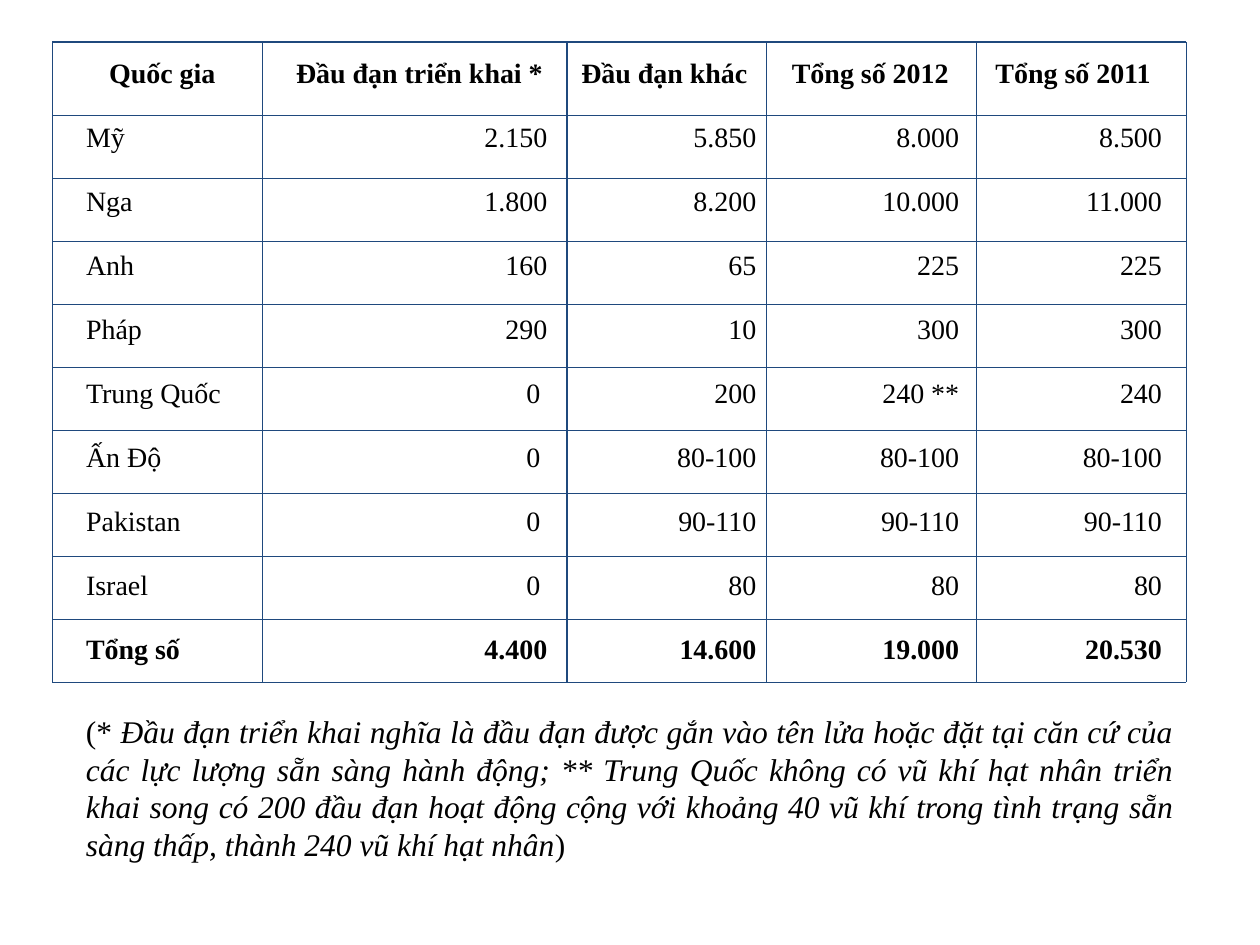
"""Build a slide with a table of nuclear warheads by country and a footnote."""
from dataclasses import dataclass

from lxml.etree import SubElement
from pptx import Presentation
from pptx.dml.color import RGBColor
from pptx.enum.shapes import MSO_CONNECTOR as Connector
from pptx.enum.text import MSO_ANCHOR as Anchor, PP_ALIGN as Align
from pptx.oxml.ns import qn
from pptx.util import Pt

BLACK = RGBColor(0x00, 0x00, 0x00)
NAVY = RGBColor(0x1F, 0x49, 0x7D)
FONT = "Times New Roman"

COLUMN_WIDTHS = (101.5, 176.4, 119.5, 115.9, 115.9)
ROW_HEIGHT = 36.6
TABLE_LEFT, TABLE_TOP = 42, 24
HEADER_INDENT = 23.2

GRID_XS = (30, 150, 324, 438, 558, 678)
GRID_YS = (24, *range(66, 391, 36))

ROWS = (
    ("Quốc gia", "Đầu đạn triển khai *", "Đầu đạn khác", "Tổng số 2012", "Tổng số 2011"),
    ("Mỹ", "2.150", "5.850", "8.000", "8.500"),
    ("Nga", "1.800", "8.200", "10.000", "11.000"),
    ("Anh", "160", "65", "225", "225"),
    ("Pháp", "290", "10", "300", "300"),
    ("Trung Quốc", "0 ", "200", "240 **", "240"),
    ("Ấn Độ", "0 ", "80-100", "80-100", "80-100"),
    ("Pakistan", "0 ", "90-110", "90-110", "90-110"),
    ("Israel", "0 ", "80", "80", "80"),
    ("Tổng số", "4.400", "14.600", "19.000", "20.530"),
)


@dataclass(frozen=True)
class Run:
    text: str
    size: float
    bold: bool = False
    italic: bool = False


@dataclass(frozen=True)
class Line:
    x1: float
    y1: float
    x2: float
    y2: float


FOOTNOTE = (
    Run("(* ", 18),
    Run(
        "Đầu đạn triển khai nghĩa là đầu đạn được gắn vào tên lửa hoặc đặt tại "
        "căn cứ của các lực lượng sẵn sàng hành động; ** Trung Quốc không có "
        "vũ khí hạt nhân triển khai song có 200 đầu đạn hoạt động cộng "
        "với khoảng 40 vũ khí trong tình trạng sẵn sàng thấp, thành 240 vũ khí "
        "hạt nhân",
        18,
        italic=True,
    ),
    Run(")", 18),
)


def write_runs(p, runs: tuple[Run, ...], align: Align) -> None:
    p.alignment = align
    for run in runs:
        r = p.add_run()
        r.text = run.text
        formats = {"name": FONT, "size": Pt(run.size), "bold": run.bold, "italic": run.italic}
        for name, value in formats.items():
            setattr(r.font, name, value)
        r.font.color.rgb = BLACK


def cell_align(row: int, col: int) -> Align:
    if row == 0:
        return Align.CENTER
    return Align.LEFT if col == 0 else Align.RIGHT


def draw_table(s) -> None:
    frame = s.shapes.add_table(
        len(ROWS), len(COLUMN_WIDTHS), Pt(TABLE_LEFT), Pt(TABLE_TOP),
        Pt(sum(COLUMN_WIDTHS)), Pt(ROW_HEIGHT * len(ROWS)),
    )
    table = frame.table
    table.first_row = table.horz_banding = False
    for column, width in zip(table.columns, COLUMN_WIDTHS):
        column.width = Pt(width)
    for i, texts in enumerate(ROWS):
        table.rows[i].height = Pt(ROW_HEIGHT)
        bold = i in (0, len(ROWS) - 1)
        for j, text in enumerate(texts):
            cell = table.cell(i, j)
            cell.fill.background()
            cell.vertical_anchor = Anchor.MIDDLE
            write_runs(cell.text_frame.paragraphs[0], (Run(text, 16, bold),), cell_align(i, j))
    table.cell(0, 1).margin_left = Pt(HEADER_INDENT)


def draw_footnote(s) -> None:
    tf = s.shapes.add_textbox(Pt(42), Pt(403), Pt(636), Pt(94)).text_frame
    tf.word_wrap = True
    tf.vertical_anchor = Anchor.MIDDLE
    write_runs(tf.paragraphs[0], FOOTNOTE, Align.JUSTIFY)


def draw_line(group, line: Line) -> None:
    ends = (Pt(v) for v in (line.x1, line.y1, line.x2, line.y2))
    sp = group.shapes.add_connector(Connector.STRAIGHT, *ends)
    sp.line.color.rgb = NAVY
    sp.line.width = Pt(0.75)
    SubElement(sp.element.find(qn("p:spPr")), qn("a:effectLst"))


def draw_grid(s) -> None:
    group = s.shapes.add_group_shape()
    rules = [Line(GRID_XS[0], y, GRID_XS[-1], y) for y in GRID_YS]
    rules += [Line(x, GRID_YS[0], x, GRID_YS[-1]) for x in GRID_XS]
    for line in rules:
        draw_line(group, line)


def main() -> None:
    prs = Presentation()
    prs.slide_width, prs.slide_height = Pt(720), Pt(540)
    s = prs.slides.add_slide(prs.slide_layouts[6])
    draw_table(s)
    draw_footnote(s)
    draw_grid(s)
    prs.save("out.pptx")


if __name__ == "__main__":
    main()
